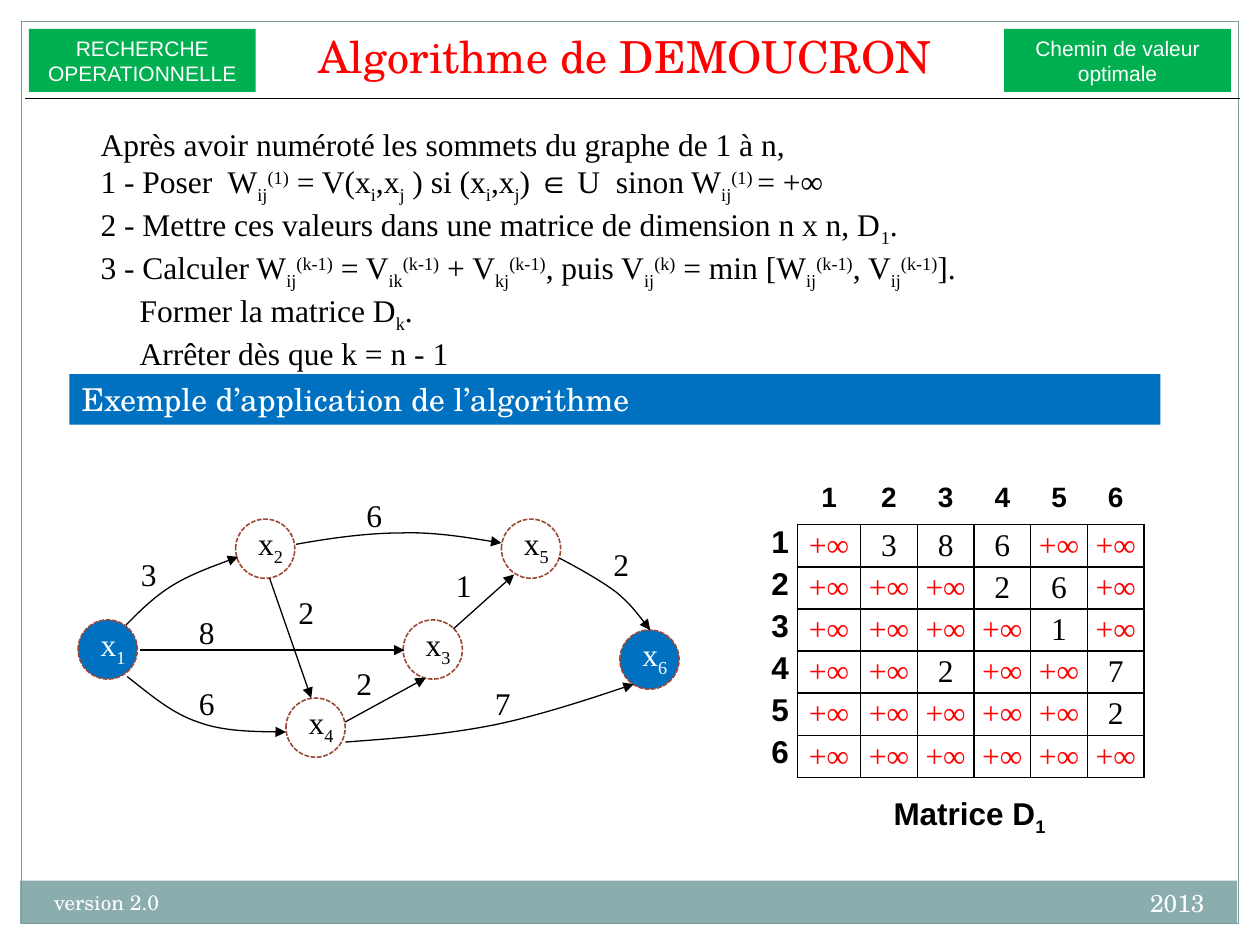
from lxml import etree
from pptx import Presentation
from pptx import util as u
from pptx.dml.color import RGBColor
from pptx.enum import dml, shapes, text
from pptx.oxml import parse_xml
from pptx.oxml.ns import nsdecls, qn

I = u.Inches
rgb = RGBColor.from_string
ALIGN = text.PP_ALIGN
SERIF, SANS, TITLE = "Times New Roman", "Arial", "TeX Gyre Schola"
BLACK, WHITE, RED, BLUE, GREEN = "000000", "FFFFFF", "FF0000", "0070C0", "00B050"


def write(tf, lines, size=18, font=SERIF, color=BLACK, align=ALIGN.LEFT, bold=False):
    """Fill tf; "|" splits runs, a leading "_" or "^" makes one sub- or superscript."""
    tf.word_wrap = True
    for n, line in enumerate(lines):
        p = tf.paragraphs[0] if n == 0 else tf.add_paragraph()
        p.alignment = align
        p.font.size, p.font.name, p.font.bold = u.Pt(size), font, bold
        p.font.color.rgb = rgb(color)
        for part in line.split("|"):
            shift = {"_": "-25000", "^": "30000"}.get(part[0])
            r = p.add_run()
            r.text = part[1:] if shift else part
            if shift:
                r._r.get_or_add_rPr().set("baseline", shift)


def style_edge(sp):
    """Thin black line with a triangle at its end and no shadow."""
    sp.line.color.rgb = rgb(BLACK)
    sp.line.width = u.Pt(0.75)
    etree.SubElement(sp.line._get_or_add_ln(), qn("a:tailEnd"), type="triangle")
    etree.SubElement(sp._element.spPr, qn("a:effectLst"))


prs = Presentation()
prs.slide_width, prs.slide_height = I(10), I(7.5)
s = prs.slides.add_slide(prs.slide_layouts[6])

# Frame, footer bar, corner labels and section banner
boxes = [
    ((0.16, 6.99, 9.66, 0.34), "8CADAE", [], {}),
    ((0.17, 0.17, 9.66, 7.16), None, [], {}),
    ((7.97, 0.23, 1.8, 0.5), GREEN, ["Chemin de valeur", "optimale"],
     dict(size=12, font=SANS, color=WHITE, align=ALIGN.CENTER)),
    ((0.23, 0.23, 1.8, 0.5), GREEN, ["RECHERCHE", "OPERATIONNELLE"],
     dict(size=12, font=SANS, color=WHITE, align=ALIGN.CENTER)),
    ((0.55, 2.97, 8.66, 0.4), BLUE, ["Exemple d’application de l’algorithme"],
     dict(font=TITLE, color=WHITE)),
]
for place, fill, lines, style in boxes:
    sp = s.shapes.add_shape(shapes.MSO_SHAPE.RECTANGLE, *map(I, place))
    sp.shadow.inherit = False
    if fill:
        sp.fill.solid()
        sp.fill.fore_color.rgb = rgb(fill)
        sp.line.fill.background()
    else:
        sp.fill.background()
        sp.line.color.rgb = rgb("7C999A")
        sp.line.width = u.Pt(0.75)
    sp.text_frame.vertical_anchor = text.MSO_ANCHOR.TOP
    write(sp.text_frame, lines, **style)

rule = s.shapes.add_connector(shapes.MSO_CONNECTOR.STRAIGHT, I(0.2), I(0.78), I(9.84), I(0.78))
rule.line.color.rgb = rgb(BLACK)
rule.line.width = u.Pt(0.75)
etree.SubElement(rule._element.spPr, qn("a:effectLst"))

# Title, footer and caption
captions = [
    ((2.03, 0.25, 5.86, 0.45), "Algorithme de DEMOUCRON",
     dict(size=25.2, font=TITLE, color=RED, align=ALIGN.CENTER)),
    ((6.33, 7, 3.33, 0.4), "2013", dict(size=14, font=TITLE, color=WHITE, align=ALIGN.RIGHT)),
    ((0.33, 7.01, 3.92, 0.4), "version 2.0", dict(size=12, font=TITLE, color=WHITE)),
    ((6.33, 6.25, 2.73, 0.4), "Matrice D|_1", dict(font=SANS, align=ALIGN.CENTER, bold=True)),
]
for place, line, style in captions:
    tf = s.shapes.add_textbox(*map(I, place)).text_frame
    write(tf, [line], **style)
    if line.startswith("Algorithme"):
        tf.vertical_anchor = text.MSO_ANCHOR.BOTTOM

# Steps of the algorithm
tf = s.shapes.add_textbox(I(0.7), I(0.94), I(8.66), I(1.92)).text_frame
write(tf, [
    "Après avoir numéroté les sommets du graphe de 1 à n,",
    "1 - Poser  W|_ij|^(1)| = V(x|_i|,x|_j| ) si (x|_i|,x|_j|) ∈ U  sinon W|_ij|^(1) |= +∞",
    "2 - Mettre ces valeurs dans une matrice de dimension n x n, D|_1|.",
    "3 - Calculer W|_ij|^(k-1)| = V|_ik|^(k-1)| + V|_kj|^(k-1)|, puis V|_ij|^(k)"
    "| = min [W|_ij|^(k-1)|, V|_ij|^(k-1)|].",
    "Former la matrice D|_k|.",
    "Arrêter dès que k = n - 1",
])
for p in tf.paragraphs[4:]:
    p._p.get_or_add_pPr().set("marL", str(I(0.31)))

# Graph vertices
vertices = {1: (0.62, 4.92), 2: (1.87, 4.12), 3: (3.2, 4.92),
            4: (2.27, 5.54), 5: (3.98, 4.12), 6: (4.92, 5)}
for number, (x, y) in vertices.items():
    is_end = number in (1, 6)
    sp = s.shapes.add_shape(shapes.MSO_SHAPE.OVAL, I(x), I(y), I(0.47), I(0.47))
    sp.shadow.inherit = False
    if is_end:
        sp.fill.solid()
        sp.fill.fore_color.rgb = rgb(BLUE)
    else:
        sp.fill.background()
    sp.line.color.rgb = rgb("9B4936")
    sp.line.width = u.Pt(0.9)
    sp.line.dash_style = dml.MSO_LINE.SQUARE_DOT
    tb = s.shapes.add_textbox(I(x + 0.08), I(y - 0.01), I(0.55), I(0.4))
    write(tb.text_frame, [f"x|_{number}"], color=WHITE if is_end else BLACK)

# Straight edges
for edge in [(1.11, 5.16, 3.21, 5.16), (2.14, 4.59, 2.47, 5.54),
             (3.6, 4.99, 4.08, 4.56), (2.74, 5.73, 3.38, 5.38)]:
    style_edge(s.shapes.add_connector(shapes.MSO_CONNECTOR.STRAIGHT, *map(I, edge)))

# Curved edges: a start, then two handles and an end point per Bézier segment
curves = [
    [(1, 4.96), (1.12, 4.84), (1.23, 4.73), (1.38, 4.64), (1.53, 4.55), (1.89, 4.42), (1.89, 4.42)],
    [(1.01, 5.37), (1.19, 5.51), (1.36, 5.66), (1.57, 5.73), (1.78, 5.81), (2.27, 5.81), (2.27, 5.81)],
    [(2.35, 4.32), (2.63, 4.27), (2.92, 4.23), (3.19, 4.23), (3.46, 4.22), (3.98, 4.31), (3.98, 4.31)],
    [(2.74, 5.89), (3.15, 5.86), (3.55, 5.83), (3.94, 5.75), (4.32, 5.67), (5.03, 5.43), (5.03, 5.43)],
    [(4.44, 4.43), (4.61, 4.52), (4.77, 4.61), (4.89, 4.7), (5.01, 4.8), (5.16, 5), (5.16, 5)],
]
for curve in curves:
    start, *points = [(I(x), I(y)) for x, y in curve]
    builder = s.shapes.build_freeform(*start)
    builder.add_line_segments(points, close=False)
    sp = builder.convert_to_shape()
    sp.fill.background()
    segments = list(sp._element.iter(qn("a:lnTo")))
    outline = segments[0].getparent()
    for n in range(0, len(segments), 3):
        bezier = etree.SubElement(outline, qn("a:cubicBezTo"))
        for segment in segments[n:n + 3]:
            bezier.append(segment[0])
            outline.remove(segment)
    style_edge(sp)

# Edge values
for value, x, y in [(3, 1.02, 4.36), (1, 3.52, 4.44), (6, 1.48, 5.38), (8, 1.48, 4.82), (6, 2.81, 3.89),
                    (2, 2.27, 4.66), (2, 2.73, 5.22), (7, 3.83, 5.38), (2, 4.77, 4.28)]:
    tb = s.shapes.add_textbox(I(x), I(y), I(0.47), I(0.4))
    write(tb.text_frame, [str(value)])

# Matrix D1
weights = {(1, 2): 3, (1, 3): 8, (1, 4): 6, (2, 4): 2, (2, 5): 6,
           (3, 5): 1, (4, 3): 2, (4, 6): 7, (5, 6): 2}
frame = s.shapes.add_table(7, 7, I(5.55), I(3.83), I(3.52), I(2.34))
table = frame.table
table.first_row = table.horz_banding = False
table._tbl.tblPr.find(qn("a:tableStyleId")).text = "{2D5ABB26-0587-4C30-8999-92F81FD0307C}"
for column, width in zip(table.columns, [0.78, 0.5] + [0.45] * 5):
    column.width = I(width)
for i, row in enumerate(table.rows):
    row.height = int(I(2.34) / 7)
    for j, cell in enumerate(row.cells):
        inside = i > 0 and j > 0
        cell.margin_left = cell.margin_right = I(0 if inside else 0.07)
        cell.margin_top = cell.margin_bottom = 0
        if inside:
            value = weights.get((i, j))
            cell.vertical_anchor = text.MSO_ANCHOR.MIDDLE
            write(cell.text_frame, [str(value or "+∞")], color=BLACK if value else RED, align=ALIGN.CENTER)
        elif i or j:
            write(cell.text_frame, [str(i or j)], size=18 if i else 16, font=SANS,
                  align=ALIGN.RIGHT if i else ALIGN.CENTER, bold=True)
        sides = "LRTB" if inside else "R" if i else "B" if j else ""
        for side in sides:
            cell._tc.get_or_add_tcPr().append(parse_xml(
                f'<a:ln{side} {nsdecls("a")} w="12700"><a:solidFill>'
                f'<a:srgbClr val="{BLACK}"/></a:solidFill></a:ln{side}>'))
        cell.fill.background()

prs.save("out.pptx")
